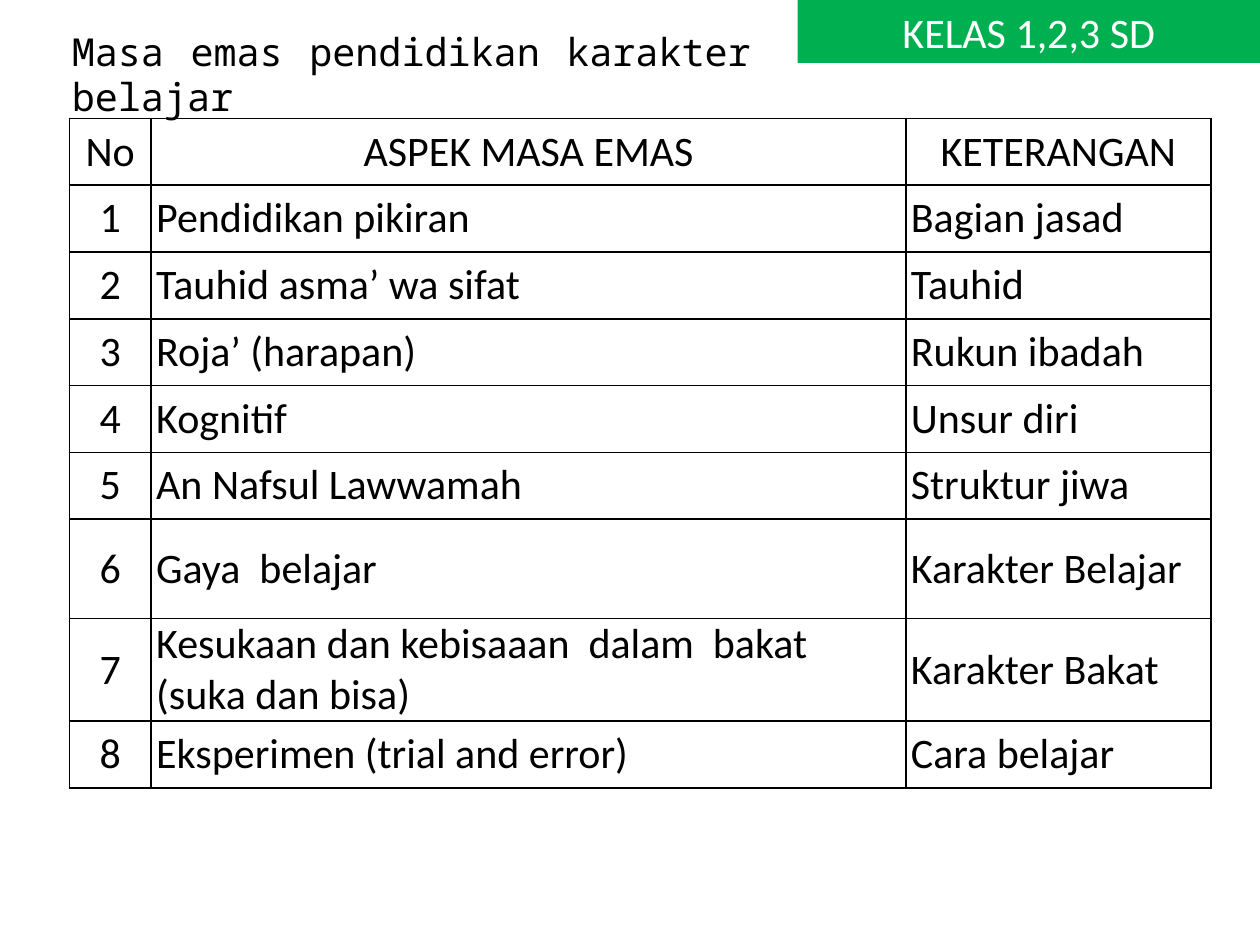
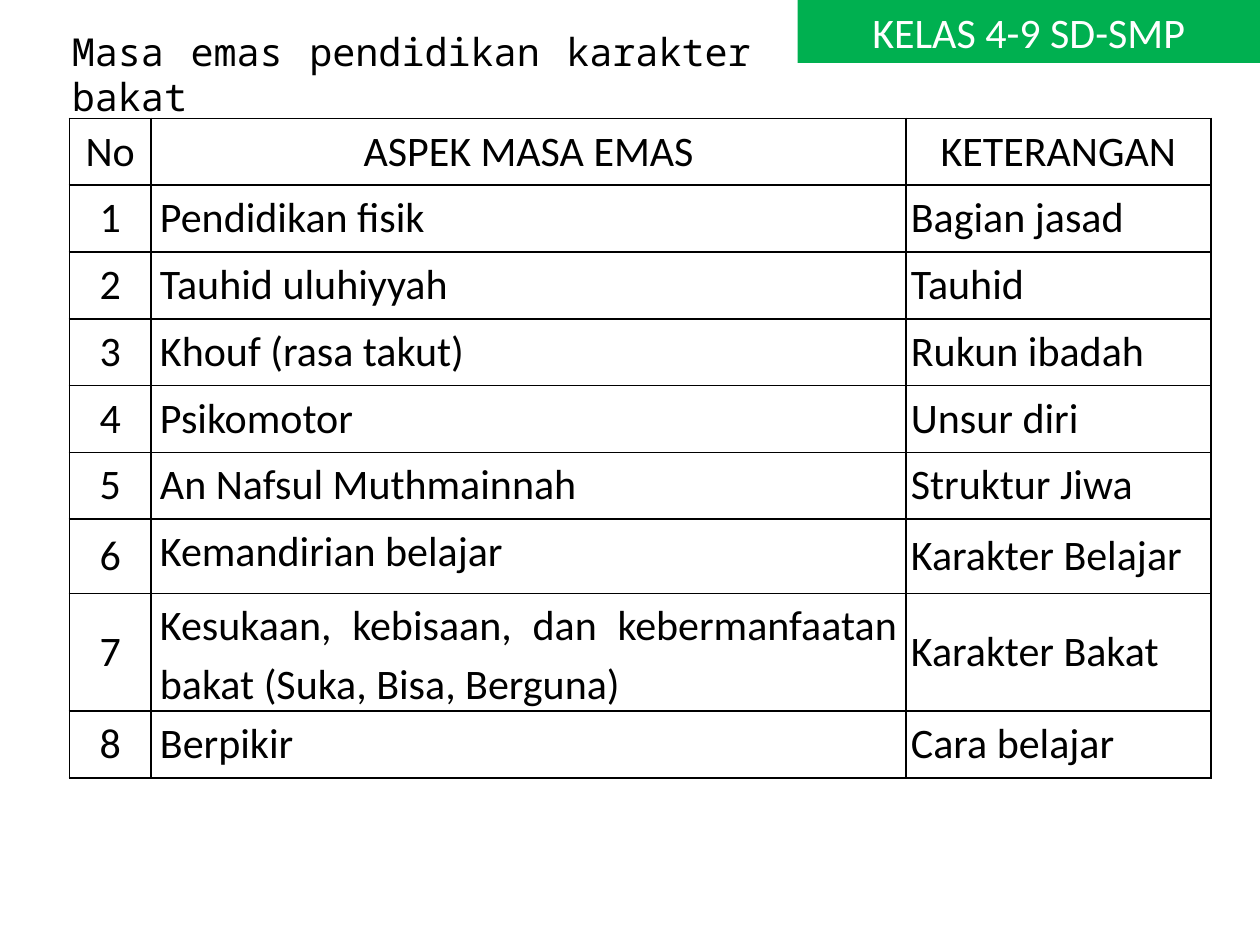
from lxml import etree
from pptx import Presentation
from pptx.dml.color import RGBColor
from pptx.enum import shapes, text
from pptx.oxml import ns
from pptx.util import Inches, Pt

GREEN = RGBColor(0x00, 0xB0, 0x50)
WHITE = RGBColor(0xFF, 0xFF, 0xFF)
BLACK = RGBColor(0x00, 0x00, 0x00)
BODY = "Calibri"
MONO = "Noto Sans Mono"
LEFT, MID, JUST = text.PP_ALIGN.LEFT, text.PP_ALIGN.CENTER, text.PP_ALIGN.JUSTIFY
HEAD = ("No", "ASPEK MASA EMAS", "KETERANGAN")
COLS = (0.65, 5.99, 2.42)
ROW = 0.53

LEARN = [
    ("Pendidikan pikiran", "Bagian jasad"),
    ("Tauhid asma’ wa sifat", "Tauhid"),
    ("Roja’ (harapan)", "Rukun ibadah"),
    ("Kognitif", "Unsur diri"),
    ("An Nafsul Lawwamah", "Struktur jiwa"),
    ("Gaya  belajar", "Karakter Belajar"),
    ("Kesukaan dan kebisaaan  dalam  bakat (suka dan bisa)", "Karakter Bakat"),
    ("Eksperimen (trial and error)", "Cara belajar"),
]
TALENT = [
    ("Pendidikan fisik", "Bagian jasad"),
    ("Tauhid uluhiyyah", "Tauhid"),
    ("Khouf (rasa takut)", "Rukun ibadah"),
    ("Psikomotor", "Unsur diri"),
    ("An Nafsul Muthmainnah", "Struktur Jiwa"),
    ("Kemandirian belajar", "Karakter Belajar"),
    ("Kesukaan, kebisaan, dan kebermanfaatan bakat (Suka, Bisa, Berguna)",
     "Karakter Bakat"),
    ("Berpikir", "Cara belajar"),
]


def write(frame, words, size, face, color, align):
    """Fill a text frame with one styled paragraph and return it."""
    frame.text = words
    frame.word_wrap = True
    para = frame.paragraphs[0]
    para.alignment = align
    for run in para.runs:
        font = run.font
        font.size, font.name, font.bold = Pt(size), face, False
        font.color.rgb = color
    return para


def add_title(slide, words):
    """Place the monospaced, justified slide title."""
    title = slide.shapes.title
    title.left, title.top = Inches(0.47), Inches(0.31)
    title.width, title.height = Inches(5.59), Inches(0.47)
    frame = title.text_frame
    para = write(frame, words, 22, MONO, BLACK, JUST)
    para.line_spacing = Pt(26)
    frame.auto_size = text.MSO_AUTO_SIZE.NONE
    frame.vertical_anchor = text.MSO_ANCHOR.MIDDLE
    frame.margin_top, frame.margin_bottom = Inches(0.09), Inches(0.01)


def add_band(slide, words):
    """Add the green class band in the top right corner."""
    band = slide.shapes.add_shape(
        shapes.MSO_SHAPE.RECTANGLE, Inches(6.33), 0, Inches(3.67), Inches(0.5))
    band.shadow.inherit = False
    band.fill.solid()
    band.fill.fore_color.rgb = GREEN
    band.line.fill.background()
    write(band.text_frame, words, 24, BODY, WHITE, MID)
    band.text_frame.vertical_anchor = text.MSO_ANCHOR.TOP


def add_edges(cell):
    """Draw a thin black line on all four sides of a cell."""
    props = cell._tc.get_or_add_tcPr()
    for side in ("a:lnL", "a:lnR", "a:lnT", "a:lnB"):
        line = etree.SubElement(props, ns.qn(side), w=str(Pt(1)))
        fill = etree.SubElement(line, ns.qn("a:solidFill"))
        etree.SubElement(fill, ns.qn("a:srgbClr"), val=str(BLACK))


def set_cell(cell, words, align, loose):
    """Style one cell; loose cells are justified with wider spacing."""
    add_edges(cell)
    cell.fill.background()
    side = Inches(0.07 if loose else 0.04)
    cell.margin_left = cell.margin_right = side
    cell.margin_top = cell.margin_bottom = 0
    para = write(cell.text_frame, words, 24, BODY, BLACK, JUST if loose else align)
    cell.vertical_anchor = text.MSO_ANCHOR.TOP if loose else text.MSO_ANCHOR.MIDDLE
    if loose:
        para.line_spacing = 1.15


def add_grid(slide, items, tall, loose):
    """Add the numbered table; tall maps row numbers to heights."""
    rows = [HEAD] + [(str(n), *item) for n, item in enumerate(items, 1)]
    highs = [tall.get(n, ROW) for n in range(len(rows))]
    grid = slide.shapes.add_table(
        len(rows), len(COLS), Inches(0.55), Inches(0.94),
        Inches(sum(COLS)), Inches(sum(highs))).table
    grid.first_row = grid.horz_banding = False
    for col, wide in zip(grid.columns, COLS):
        col.width = Inches(wide)
    for r, row in enumerate(rows):
        grid.rows[r].height = Inches(highs[r])
        for c, words in enumerate(row):
            align = MID if r == 0 or c == 0 else LEFT
            set_cell(grid.cell(r, c), words, align, loose and r > 0 and c == 1)


def add_page(deck, title, band, items, tall, loose):
    """Build one slide with title, band and table."""
    slide = deck.slides.add_slide(deck.slide_layouts[5])
    add_title(slide, title)
    add_grid(slide, items, tall, loose)
    add_band(slide, band)


def main():
    """Build and save the deck."""
    deck = Presentation()
    deck.slide_width, deck.slide_height = Inches(10), Inches(7.5)
    add_page(deck, "Masa emas pendidikan karakter belajar", "KELAS 1,2,3 SD",
             LEARN, {6: 0.79, 7: 0.79}, False)
    add_page(deck, "Masa emas pendidikan karakter bakat", "KELAS 4-9 SD-SMP",
             TALENT, {6: 0.59, 7: 0.79}, True)
    deck.save("out.pptx")


if __name__ == "__main__":
    main()
